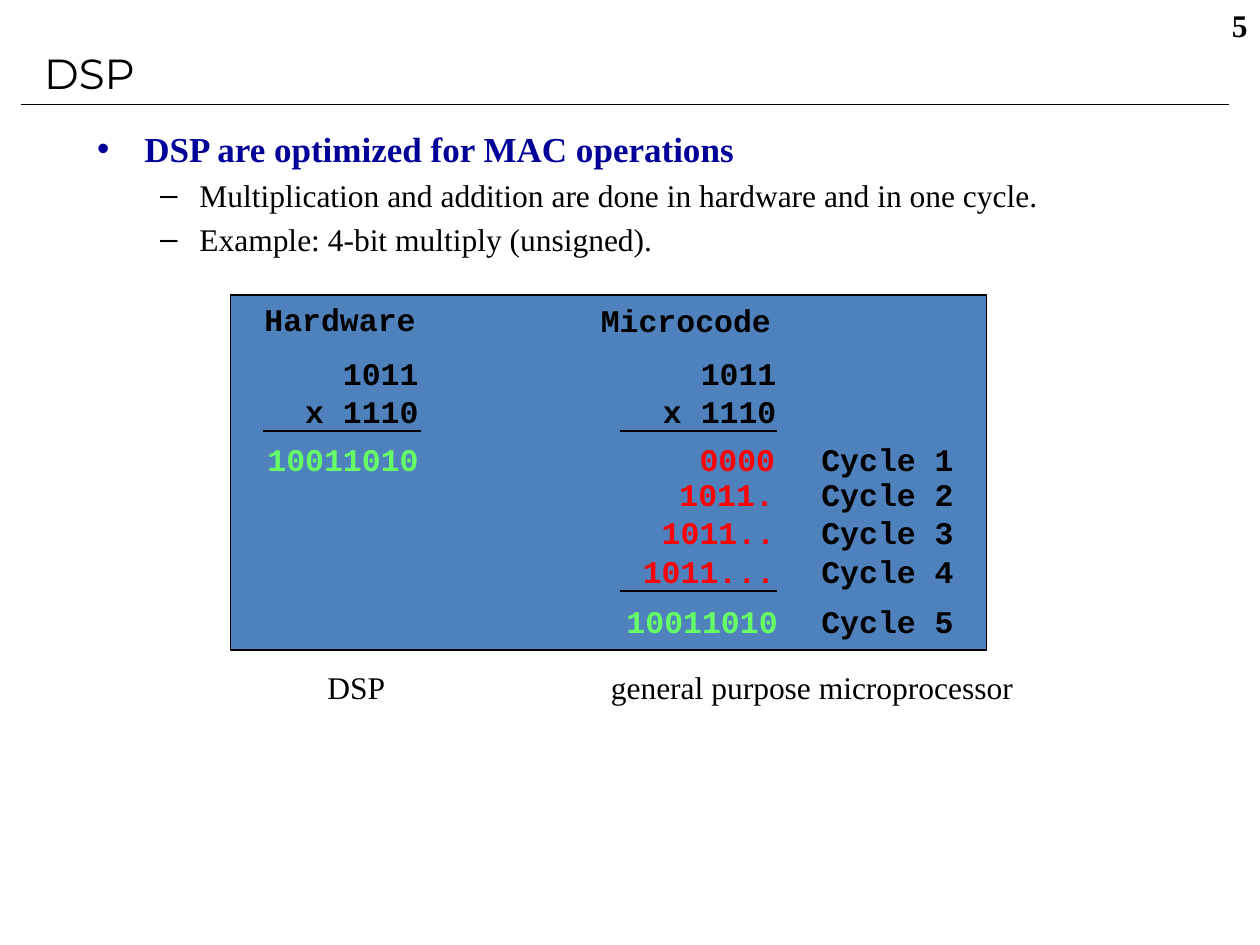
from dataclasses import dataclass

from lxml.etree import SubElement
from pptx import Presentation
from pptx.dml.color import RGBColor
from pptx.enum.shapes import MSO_CONNECTOR, MSO_SHAPE
from pptx.enum.text import MSO_ANCHOR, MSO_AUTO_SIZE, PP_ALIGN
from pptx.oxml.ns import qn
from pptx.util import Inches, Pt

BLACK = RGBColor(0x00, 0x00, 0x00)
NAVY = RGBColor(0x00, 0x00, 0x99)
BLUE = RGBColor(0x4F, 0x81, 0xBD)
GREEN = RGBColor(0x66, 0xFF, 0x66)
RED = RGBColor(0xFF, 0x00, 0x00)

SERIF = "Times New Roman"
MONO = "Courier New"
ROW_HEIGHT = 0.4


@dataclass
class Label:
    text: str
    left: float
    top: float
    width: float
    height: float = ROW_HEIGHT
    color: RGBColor = BLACK
    font: str = MONO
    bold: bool = True
    align: PP_ALIGN = PP_ALIGN.LEFT
    wrap: bool = True


@dataclass
class Rule:
    left: float
    right: float
    y: float
    weight: float = 1


def set_font(p, **values) -> None:
    """Format every run of a paragraph; color is an RGBColor."""
    for r in p.runs:
        r.font.color.rgb = values["color"]
        for name in ("name", "size", "bold"):
            setattr(r.font, name, values[name])


def add_label(slide, label: Label) -> None:
    box = (label.left, label.top, label.width, label.height)
    tf = slide.shapes.add_textbox(*map(Inches, box)).text_frame
    tf.word_wrap = label.wrap
    tf.text = label.text
    for p in tf.paragraphs:
        p.alignment = label.align
        set_font(p, name=label.font, size=Pt(18), bold=label.bold, color=label.color)


def add_rule(slide, rule: Rule) -> None:
    ends = (rule.left, rule.y, rule.right, rule.y)
    line = slide.shapes.add_connector(MSO_CONNECTOR.STRAIGHT, *map(Inches, ends))
    line.line.color.rgb = BLACK
    line.line.width = Pt(rule.weight)
    SubElement(line._element.spPr, qn("a:effectLst"))


def fill_placeholder(sp, box, lines) -> None:
    """Place a placeholder and write (text, level, format) lines into it."""
    sp.left, sp.top, sp.width, sp.height = map(Inches, box)
    tf = sp.text_frame
    tf.auto_size = MSO_AUTO_SIZE.NONE
    tf.vertical_anchor = MSO_ANCHOR.TOP
    tf.text = "\n".join(text for text, _, _ in lines)
    for p, (_, level, style) in zip(tf.paragraphs, lines):
        p.level = level
        p.alignment = PP_ALIGN.LEFT
        set_font(p, **style)
    tf.paragraphs[0].space_before = Pt(0)


def add_panel(slide) -> None:
    sp = slide.shapes.add_shape(
        MSO_SHAPE.RECTANGLE, Inches(1.83), Inches(2.34), Inches(6), Inches(2.82))
    sp.shadow.inherit = False
    sp.fill.solid()
    sp.fill.fore_color.rgb = BLUE
    sp.line.color.rgb = BLACK
    sp.line.width = Pt(1)


TITLE_STYLE = dict(name="Montserrat", size=Pt(24), bold=False, color=BLACK)
HEAD_STYLE = dict(name=SERIF, size=Pt(20), bold=True, color=NAVY)
ITEM_STYLE = dict(name=SERIF, size=Pt(18), bold=False, color=BLACK)

TITLE = [("DSP", 0, TITLE_STYLE)]
BODY = [
    ("DSP are optimized for MAC operations", 0, HEAD_STYLE),
    ("Multiplication and addition are done in hardware and in one cycle.", 1, ITEM_STYLE),
    ("Example: 4-bit multiply (unsigned).", 1, ITEM_STYLE),
]

RIGHT = PP_ALIGN.RIGHT
OPERANDS = "1011\nx 1110"
PRODUCT = "10011010"
CYCLES = [  # result, top, right edge, colour
    ("0000", 3.44, 6.25, RED),
    ("1011.", 3.72, 6.24, RED),
    ("1011..", 4.02, 6.25, RED),
    ("1011...", 4.33, 6.25, RED),
    (PRODUCT, 4.73, 6.27, GREEN),
]

LABELS = [
    Label("5", 7.92, 0, 2.08, 0.5, font=SERIF, align=RIGHT),
    Label("Hardware", 2, 2.33, 1.5),
    Label("Microcode", 4.67, 2.34, 1.67),
    Label(OPERANDS, 2.25, 2.76, 1.17, 0.7, align=RIGHT),
    Label(OPERANDS, 5.09, 2.76, 1.17, 0.7, align=RIGHT),
    Label(PRODUCT, 2, 3.44, 1.42, color=GREEN, align=RIGHT),
    Label("DSP", 2.5, 5.25, 0.66, font=SERIF, bold=False, wrap=False),
    Label("general purpose microprocessor", 4.75, 5.25, 3.55,
          font=SERIF, bold=False, wrap=False),
]
for number, (result, top, edge, color) in enumerate(CYCLES, start=1):
    LABELS.append(Label(result, edge - 1.75, top, 1.75, color=color, align=RIGHT))
    LABELS.append(Label(f"Cycle {number}", 6.42, top, 1.75))

RULES = [Rule(2.09, 3.34, 3.42), Rule(4.92, 6.17, 3.42), Rule(4.92, 6.17, 4.69)]


def main() -> None:
    prs = Presentation()
    prs.slide_width, prs.slide_height = Inches(10), Inches(7.5)
    slide = prs.slides.add_slide(prs.slide_layouts[1])
    title, body = slide.placeholders
    fill_placeholder(title, (0.25, 0.33, 8.5, 0.83), TITLE)
    fill_placeholder(body, (0.67, 0.96, 8.5, 6.12), BODY)
    add_rule(slide, Rule(0.17, 9.75, 0.83, 0.75))
    add_panel(slide)
    for rule in RULES:
        add_rule(slide, rule)
    for label in LABELS:
        add_label(slide, label)
    prs.save("out.pptx")


if __name__ == "__main__":
    main()
